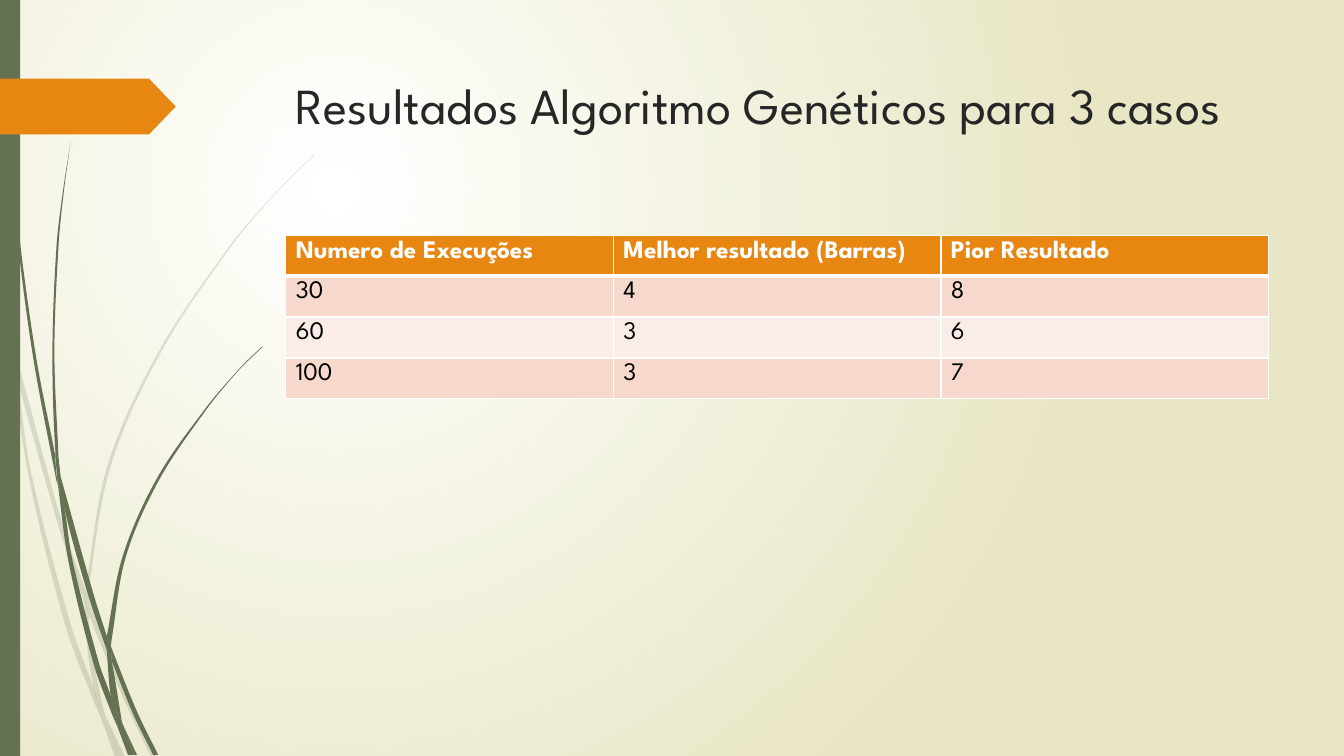
import math
import pptx
import pptx.util
import pptx.dml.color
import pptx.enum.shapes
import pptx.enum.text
import pptx.oxml.ns
import lxml.etree

Cm, Pt = pptx.util.Cm, pptx.util.Pt
qn = pptx.oxml.ns.qn

# Content
TITLE = "Resultados Algoritmo Genéticos para 3 casos"
ROWS = [
    ("Numero de Execuções", "Melhor resultado (Barras)", "Pior Resultado"),
    ("30", "4", "8"),
    ("60", "3", "6"),
    ("100", "3", "7"),
]

# Grass pieces: one edge out and one edge back, in inches
FAINT = [
    ([(0, 2.82), (.09, 3.22), (.11, 3.5)], [(.1, 3.44), (0, 2.99)]),
    ([(.14, 3.45), (.62, 5.2), (.85, 5.86)],
     [(.84, 5.99), (.58, 5.22), (.17, 3.76)]),
    ([(.88, 5.96), (.92, 6.07), (1.27, 6.92), (1.55, 7.51)],
     [(1.5, 7.51), (1.23, 6.94), (.88, 6.1)]),
    ([(1.05, 7.11), (1.24, 7.51)], [(1.19, 7.51)]),
    ([(.11, 3.5), (.17, 3.76), (.31, 4.69), (.7, 6.19), (.93, 6.83), (.99, 7.07)],
     [(1.01, 7.14), (.92, 6.93), (.65, 6.21), (.28, 4.7), (.11, 3.5)]),
    ([(.84, 5.99), (.88, 6.08), (.88, 6.1), (.91, 6.46), (1.03, 7.06)],
     [(1.05, 7.11), (.96, 6.92), (.93, 6.83), (.87, 6.46), (.84, 5.99)]),
    ([(3.12, 1.53), (2.89, 1.75), (2.68, 1.97), (2.28, 2.44), (1.58, 3.48),
      (1.07, 4.61), (.85, 5.84), (.85, 5.86)],
     [(.88, 5.96), (.88, 5.84), (1.1, 4.62), (1.6, 3.49), (2.29, 2.45),
      (2.68, 1.98), (2.9, 1.75), (3.12, 1.54)]),
    ([(1.01, 7.14), (1.14, 7.51)], [(1.19, 7.51), (1.01, 7.14)]),
    ([(.85, 5.86), (.84, 5.99), (.88, 6.08)], [(.88, 6.1), (.88, 5.96)]),
    ([(.93, 6.83), (.96, 6.92), (1.05, 7.11), (1.19, 7.51)],
     [(1.01, 7.14), (.99, 7.07), (.93, 6.83)]),
]
DARK = [
    ([(.03, 0), (.04, .48), (.07, 1.1), (.17, 2.33), (.33, 3.55), (.56, 4.77)],
     [(.57, 4.81), (.55, 4.57), (.55, 4.53), (.36, 3.55), (.19, 2.32),
      (.08, 1.09), (.05, .48), (.04, 0)]),
    ([(.6, 4.72), (.93, 5.9), (1.06, 6.31)],
     [(1.06, 6.45), (.88, 5.92), (.64, 5.05), (.6, 4.72)]),
    ([(1.1, 6.41), (1.13, 6.49), (1.36, 7.06), (1.57, 7.49)],
     [(1.52, 7.49), (1.32, 7.08), (1.11, 6.56)]),
    ([(.57, 4.77), (.64, 5.05), (.72, 5.56), (.98, 6.57), (1.1, 6.91), (1.16, 7.17)],
     [(1.17, 7.22), (1.11, 7.08), (.93, 6.59), (.68, 5.57), (.57, 4.77)]),
    ([(.7, 1.41), (.62, 1.93), (.56, 2.45), (.52, 3.49), (.55, 4.49), (.6, 4.72)],
     [(.58, 4.53), (.54, 3.49), (.58, 2.45), (.63, 1.93), (.7, 1.41)]),
    ([(1.22, 7.19), (1.36, 7.49)], [(1.33, 7.49), (1.22, 7.19)]),
    ([(.55, 4.49), (.6, 4.72), (.64, 5.05)], [(.57, 4.77), (.55, 4.53)]),
    ([(2.6, 3.44), (2.45, 3.58), (2.31, 3.73), (2.04, 4.05), (1.56, 4.74),
      (1.22, 5.51), (1.06, 6.31)],
     [(1.1, 6.41), (1.11, 6.33), (1.25, 5.52), (1.58, 4.76), (2.05, 4.06),
      (2.31, 3.74), (2.45, 3.59), (2.61, 3.44)]),
    ([(1.17, 7.22), (1.27, 7.49)], [(1.31, 7.49), (1.17, 7.22)]),
    ([(1.06, 6.45), (1.09, 6.51), (1.11, 6.56), (1.21, 7.16)],
     [(1.22, 7.19), (1.16, 7.06), (1.1, 6.91), (1.06, 6.45)]),
    ([(1.06, 6.31), (1.06, 6.45)], [(1.11, 6.56), (1.1, 6.41), (1.06, 6.31)]),
    ([(1.1, 6.91), (1.16, 7.06), (1.22, 7.19), (1.33, 7.49)],
     [(1.3, 7.49), (1.17, 7.22), (1.16, 7.17), (1.1, 6.91)]),
]


class Theme:
    font = "League Spartan"
    glow, sand = "FFFFFF", "E8E6C4"
    green, orange = "647252", "E78712"
    ink, black, white = "262626", "000000", "FFFFFF"
    bands = ("F6D9CC", "FAEDE7")
    title, cell = 36, 18
    thin, thick = 1, 3
    faint = 20


def rgb(code):
    return pptx.dml.color.RGBColor.from_string(code)


def write(frame, text, size=Theme.cell, color=Theme.black, bold=False):
    frame.word_wrap = True
    run = frame.paragraphs[0].add_run()
    run.text = text
    font = run.font
    font.name, font.size, font.bold = Theme.font, Pt(size), bold
    font.color.rgb = rgb(color)


def paint(shape, color, alpha=100):
    shape.shadow.inherit = False
    shape.fill.solid()
    shape.fill.fore_color.rgb = rgb(color)
    shape.line.fill.background()
    if alpha < 100:
        tone = shape._element.spPr.find(qn("a:solidFill"))[0]
        lxml.etree.SubElement(tone, qn("a:alpha"), val=str(alpha * 1000))


def lean(edge, i, reach):
    """Handle at knot i, along the line between its neighbours."""
    (x0, y0), (x1, y1) = edge[max(i - 1, 0)], edge[min(i + 1, len(edge) - 1)]
    span = math.hypot(x1 - x0, y1 - y0) or 1
    return (x1 - x0) / span * reach, (y1 - y0) / span * reach


def bend(shape, edges):
    """Turn the straight sides along each edge into curves."""
    lines = list(shape._element.iter(qn("a:lnTo")))
    sides = iter(lines)
    for n, edge in enumerate(edges):
        if n:
            next(sides)
        for i in range(len(edge) - 1):
            side = next(sides)
            a, b = edge[i], edge[i + 1]
            reach = math.dist(a, b) / 3
            go, come = lean(edge, i, reach), lean(edge, i + 1, reach)
            end = side[0]
            side.tag = qn("a:cubicBezTo")
            for at, (dx, dy) in ((a, go), (b, (-come[0], -come[1]))):
                x = int(end.get("x")) + Cm((at[0] - b[0] + dx) * 2.54)
                y = int(end.get("y")) + Cm((at[1] - b[1] + dy) * 2.54)
                end.addprevious(end.makeelement(qn("a:pt"), x=str(x), y=str(y)))


def blade(shapes, edges, alpha):
    dots = [(Cm(x * 2.54), Cm(y * 2.54)) for edge in edges for x, y in edge]
    pen = shapes.build_freeform(*dots[0])
    pen.add_line_segments(dots[1:], close=False)
    shape = pen.convert_to_shape()
    bend(shape, edges)
    lxml.etree.SubElement(next(shape._element.iter(qn("a:path"))), qn("a:close"))
    paint(shape, Theme.green, alpha)


def border(cell, **widths):
    props = cell._tc.get_or_add_tcPr()
    for spot, (side, width) in enumerate(widths.items()):
        line = props.makeelement(qn("a:" + side), w=str(Pt(width)))
        solid = lxml.etree.SubElement(line, qn("a:solidFill"))
        lxml.etree.SubElement(solid, qn("a:srgbClr"), val=Theme.white)
        props.insert(spot, line)


deck = pptx.Presentation()
deck.slide_width, deck.slide_height = Cm(33.87), Cm(19.05)
slide = deck.slides.add_slide(deck.slide_layouts[6])
shapes = slide.shapes

# Background: round glow
fill = slide.background.fill
fill.gradient()
for stop, tone in zip(fill.gradient_stops, (Theme.glow, Theme.sand)):
    stop.color.rgb = rgb(tone)
grad = slide._element.find(".//" + qn("a:gradFill"))
grad.remove(grad.find(qn("a:lin")))
ring = lxml.etree.SubElement(grad, qn("a:path"), {"path": "circle"})
lxml.etree.SubElement(ring, qn("a:fillToRect"),
                      l="50000", t="50000", r="100000", b="100000")

# Grass, side bar and arrow tag
for group, alpha in ((FAINT, Theme.faint), (DARK, 100)):
    for edges in group:
        blade(shapes, edges, alpha)
kinds = pptx.enum.shapes.MSO_SHAPE
bar = shapes.add_shape(kinds.RECTANGLE, 0, 0, Cm(0.51), deck.slide_height)
paint(bar, Theme.green)
tag = shapes.add_shape(kinds.PENTAGON, 0, Cm(1.98), Cm(4.43), Cm(1.41))
tag.adjustments[0] = 0.48
paint(tag, Theme.orange)

# Title
head = shapes.add_textbox(Cm(7.21), Cm(1.74), Cm(24.77), Cm(3.56))
head.text_frame.vertical_anchor = pptx.enum.text.MSO_ANCHOR.TOP
write(head.text_frame, TITLE, size=Theme.title, color=Theme.ink)

# Results table
grid = shapes.add_table(len(ROWS), len(ROWS[0]), Cm(7.2), Cm(5.93),
                        Cm(24.77), Cm(4.12)).table
for r, row in enumerate(ROWS):
    first = r == 0
    for c, text in enumerate(row):
        cell = grid.cell(r, c)
        cell.fill.solid()
        cell.fill.fore_color.rgb = rgb(
            Theme.orange if first else Theme.bands[(r - 1) % 2])
        write(cell.text_frame, text, bold=first,
              color=Theme.white if first else Theme.black)
        border(cell, lnL=Theme.thin, lnR=Theme.thin,
               lnT=Theme.thick if r == 1 else Theme.thin,
               lnB=Theme.thick if first else Theme.thin)

deck.save("out.pptx")
